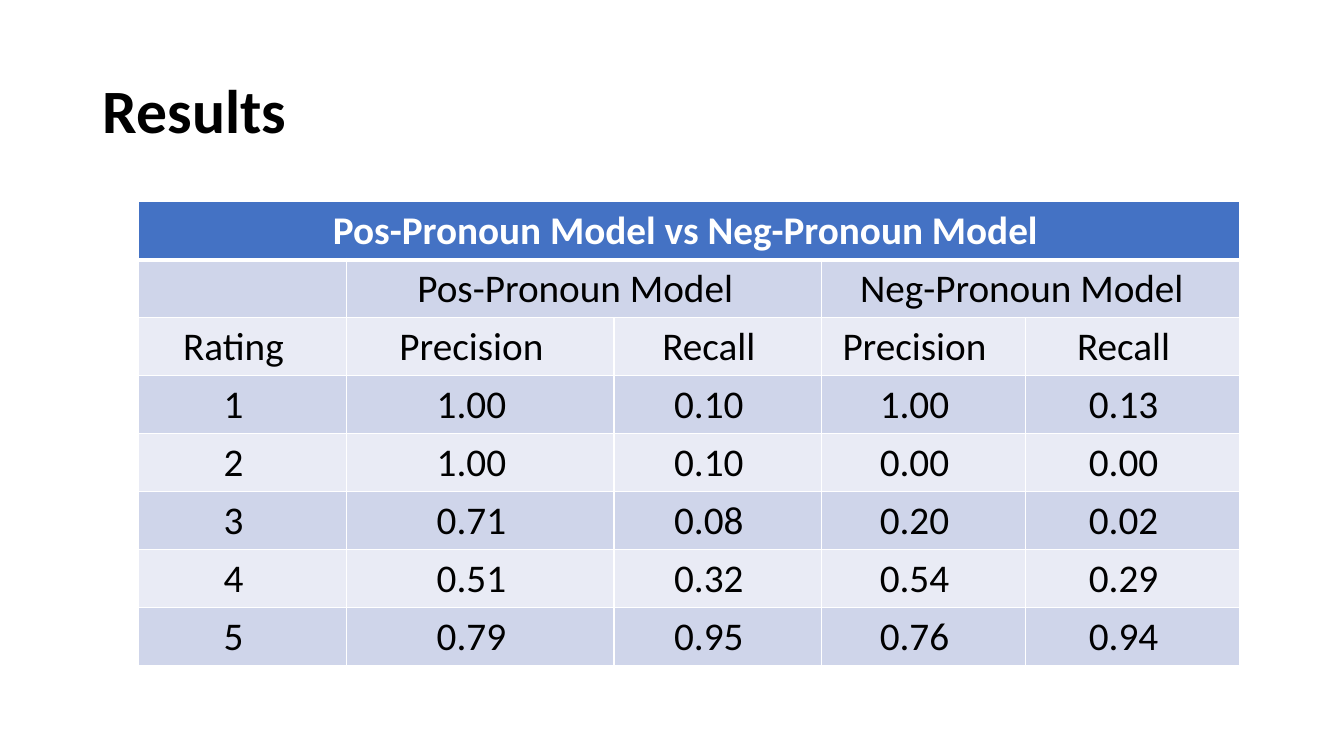
from dataclasses import dataclass

import pptx
import pptx.dml.color
import pptx.enum.text
import pptx.oxml
import pptx.oxml.ns
import pptx.util

RGBColor = pptx.dml.color.RGBColor
PP_ALIGN = pptx.enum.text.PP_ALIGN
MIDDLE = pptx.enum.text.MSO_ANCHOR.MIDDLE

BLACK = RGBColor(0x00, 0x00, 0x00)
WHITE = RGBColor(0xFF, 0xFF, 0xFF)
HEADER_BLUE = RGBColor(0x44, 0x72, 0xC4)
BAND_DARK = RGBColor(0xCF, 0xD5, 0xEA)
BAND_LIGHT = RGBColor(0xE9, 0xEB, 0xF5)

FONT = "Calibri"
SLIDE_WIDTH = pptx.util.Inches(13.33)
SLIDE_HEIGHT = pptx.util.Inches(7.5)
COLUMN_PERCENTS = (15.53, 19.88, 15.45, 15.15, 15.98)
ROW_PERCENT = 7.67


@dataclass(frozen=True)
class Heading:
    text: str
    row: int
    column: int
    span: int = 1


@dataclass(frozen=True)
class Rating:
    stars: int
    pos_precision: float
    pos_recall: float
    neg_precision: float
    neg_recall: float

    def texts(self) -> list[str]:
        scores = (self.pos_precision, self.pos_recall, self.neg_precision, self.neg_recall)
        return [str(self.stars)] + [f"{score:.2f}" for score in scores]


HEADINGS = (
    Heading("Pos-Pronoun Model vs Neg-Pronoun Model", 0, 0, 5),
    Heading("", 1, 0),
    Heading("Pos-Pronoun Model", 1, 1, 2),
    Heading("Neg-Pronoun Model", 1, 3, 2),
    Heading("Rating", 2, 0),
    Heading("Precision", 2, 1),
    Heading("Recall", 2, 2),
    Heading("Precision", 2, 3),
    Heading("Recall", 2, 4),
)
RATINGS = (
    Rating(1, 1.00, 0.10, 1.00, 0.13),
    Rating(2, 1.00, 0.10, 0.00, 0.00),
    Rating(3, 0.71, 0.08, 0.20, 0.02),
    Rating(4, 0.51, 0.32, 0.54, 0.29),
    Rating(5, 0.79, 0.95, 0.76, 0.94),
)
FIRST_RATING_ROW = 3


def across(percent: float) -> int:
    return round(SLIDE_WIDTH * percent / 100)


def down(percent: float) -> int:
    return round(SLIDE_HEIGHT * percent / 100)


def style_paragraph(paragraph, size: float, color: RGBColor, bold: bool, align) -> None:
    paragraph.alignment = align
    paragraph.font.name = FONT
    paragraph.font.size = pptx.util.Pt(size)
    paragraph.font.bold = bold
    paragraph.font.color.rgb = color


def add_borders(cell, bottom_points: float) -> None:
    properties = cell._tc.get_or_add_tcPr()
    edges = {"lnL": 1, "lnR": 1, "lnT": 1, "lnB": bottom_points}
    for position, (edge, points) in enumerate(edges.items()):
        border = pptx.oxml.parse_xml(
            f'<a:{edge} {pptx.oxml.ns.nsdecls("a")} w="{pptx.util.Pt(points)}">'
            f'<a:solidFill><a:srgbClr val="{WHITE}"/></a:solidFill></a:{edge}>'
        )
        properties.insert(position, border)


def format_cell(cell, row: int) -> None:
    is_header = row == 0
    cell.fill.solid()
    cell.fill.fore_color.rgb = HEADER_BLUE if is_header else (BAND_LIGHT, BAND_DARK)[row % 2]
    cell.vertical_anchor = MIDDLE
    cell.margin_right = pptx.util.Inches(0.18 if is_header else 0.28)
    style_paragraph(cell.text_frame.paragraphs[0], 28, WHITE if is_header else BLACK,
                    is_header, PP_ALIGN.CENTER)
    add_borders(cell, 3 if is_header else 1)


def add_title(slide) -> None:
    title = slide.shapes.title
    title.left, title.top = across(6.9), down(5.33)
    title.width, title.height = across(86.27), down(19.33)
    title.text_frame.text = "Results"
    title.text_frame.vertical_anchor = MIDDLE
    paragraph = title.text_frame.paragraphs[0]
    paragraph.line_spacing = 0.9
    style_paragraph(paragraph, 44, BLACK, True, PP_ALIGN.LEFT)


def add_results(slide) -> None:
    row_count = FIRST_RATING_ROW + len(RATINGS)
    results = slide.shapes.add_table(
        row_count, len(COLUMN_PERCENTS), across(10.28), down(26.67),
        across(sum(COLUMN_PERCENTS)), down(ROW_PERCENT * row_count),
    ).table
    results.first_row = False
    results.horz_banding = False
    for column, percent in zip(results.columns, COLUMN_PERCENTS):
        column.width = across(percent)
    for heading in HEADINGS:
        cell = results.cell(heading.row, heading.column)
        cell.text = heading.text
        if heading.span > 1:
            cell.merge(results.cell(heading.row, heading.column + heading.span - 1))
    for row, rating in enumerate(RATINGS, FIRST_RATING_ROW):
        for column, text in enumerate(rating.texts()):
            results.cell(row, column).text = text
    for row, table_row in enumerate(results.rows):
        table_row.height = down(ROW_PERCENT)
        for cell in table_row.cells:
            format_cell(cell, row)


def main() -> None:
    presentation = pptx.Presentation()
    presentation.slide_width = SLIDE_WIDTH
    presentation.slide_height = SLIDE_HEIGHT
    slide = presentation.slides.add_slide(presentation.slide_layouts[5])
    add_title(slide)
    add_results(slide)
    presentation.save("out.pptx")


if __name__ == "__main__":
    main()
